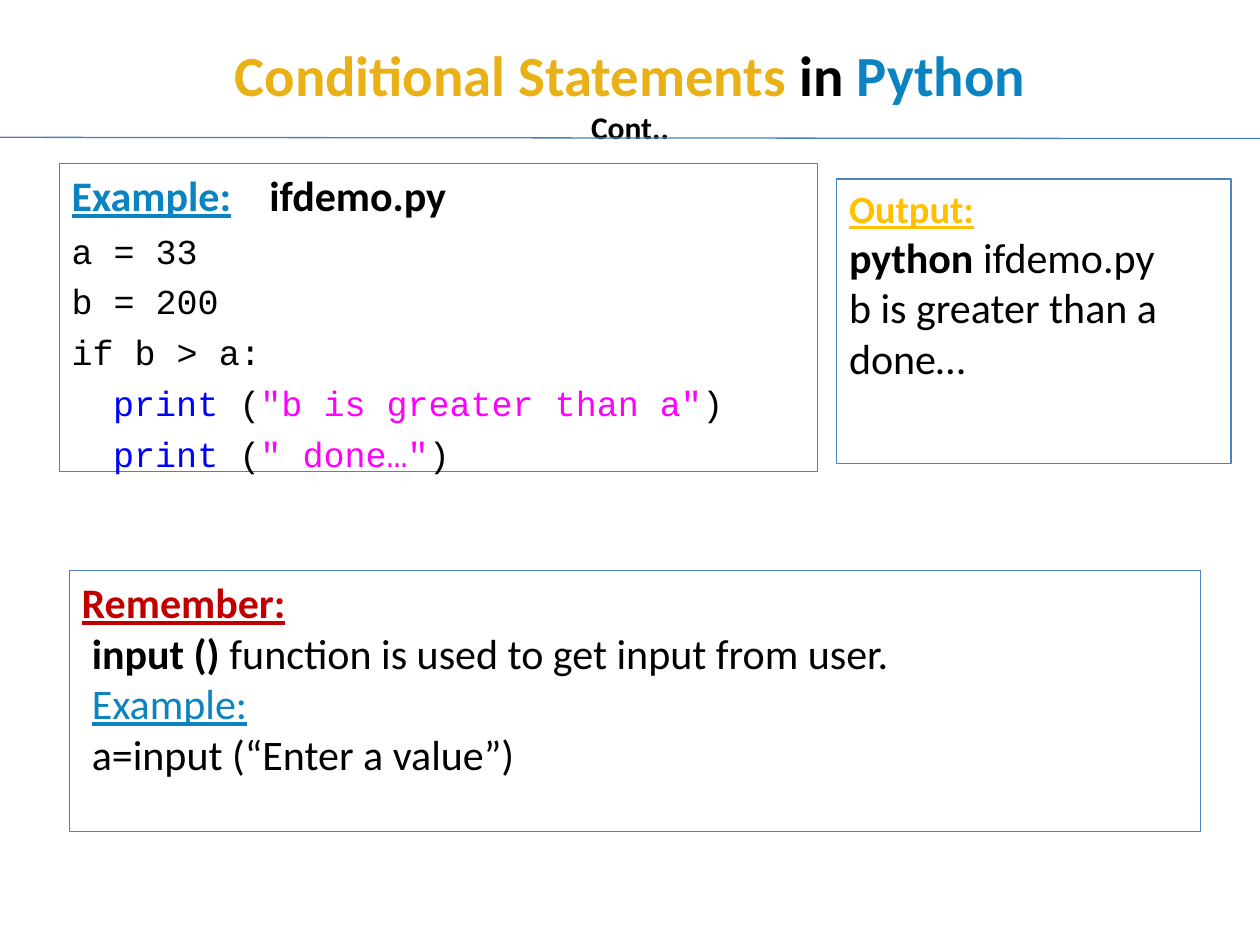
from lxml.etree import SubElement
from pptx import Presentation
from pptx.dml.color import RGBColor
from pptx.enum.shapes import MSO_CONNECTOR as Connector, MSO_SHAPE as Shape
from pptx.enum.text import MSO_ANCHOR as Anchor, MSO_AUTO_SIZE as AutoSize, PP_ALIGN as Align
from pptx.oxml.ns import qn
from pptx.util import Inches, Pt

BLACK, BLUE, GOLD = "000000", "0A83C0", "E9B115"
AMBER, RED = "FFC000", "C00000"
KEYWORD, STRING = "0000FF", "FF00FF"
BORDER, RULE = "4F81BD", "4B7EBC"
CODE = {"size": 20, "font": "Courier New"}


def color(value):
    """Turn a hex string into a colour."""
    return RGBColor.from_string(value)


def add_span(para, text, size=24, font="Calibri", fill=BLACK, bold=False, underline=False):
    """Add one formatted run of text to a paragraph."""
    span = para.add_run()
    span.text = text
    span.font.size = Pt(size)
    span.font.name = font
    span.font.color.rgb = color(fill)
    span.font.bold = bold
    span.font.underline = underline


def add_lines(frame, lines, align=Align.LEFT, indent=0):
    """Write lines, each a list of (text, format) pairs, indenting all but the first."""
    paras = []
    for index, spans in enumerate(lines):
        para = frame.add_paragraph() if index else frame.paragraphs[0]
        para.alignment = align
        if index and indent:
            para._p.get_or_add_pPr().set("marL", str(Inches(indent)))
        for text, style in spans:
            add_span(para, text, **style)
        paras.append(para)
    return paras


def add_title(page, left, top, width, height):
    """Place the two-line title in the title placeholder."""
    title = page.shapes.title
    title.left, title.top = Inches(left), Inches(top)
    title.width, title.height = Inches(width), Inches(height)
    frame = title.text_frame
    frame.auto_size = AutoSize.NONE
    frame.vertical_anchor = Anchor.MIDDLE
    large = {"size": 32.4, "bold": True}
    add_lines(frame, [
        [("Conditional Statements ", {**large, "fill": GOLD}),
         ("in ", large),
         ("Python", {**large, "fill": BLUE})],
        [("Cont..", {"size": 18, "bold": True})],
    ], align=Align.CENTER)


def add_rule(page, left, top, right, bottom):
    """Draw the thin line under the title."""
    rule = page.shapes.add_connector(
        Connector.STRAIGHT, Inches(left), Inches(top), Inches(right), Inches(bottom))
    rule.line.color.rgb = color(RULE)
    rule.line.width = Pt(0.75)
    SubElement(rule._element.spPr, qn("a:effectLst"))


def add_panel(page, left, top, width, height):
    """Draw an outlined panel and return its text frame."""
    panel = page.shapes.add_shape(
        Shape.RECTANGLE, Inches(left), Inches(top), Inches(width), Inches(height))
    panel.shadow.inherit = False
    panel.fill.background()
    panel.line.color.rgb = color(BORDER)
    panel.line.width = Pt(0.75)
    frame = panel.text_frame
    frame.word_wrap = True
    frame.vertical_anchor = Anchor.TOP
    return frame


def add_example(page, left, top, width, height):
    """Show the example program."""
    frame = add_panel(page, left, top, width, height)
    heading, *code = add_lines(frame, [
        [("Example:", {"fill": BLUE, "bold": True, "underline": True}),
         ("\tifdemo.py", {"bold": True})],
        *[[(text, CODE)] for text in ("a = 33", "b = 200", "if b > a:")],
        *[[("print ", {**CODE, "fill": KEYWORD}),
           ("(", CODE),
           (text, {**CODE, "fill": STRING}),
           (")", CODE)] for text in ('"b is greater than a"', '" done…"')],
    ])
    stops = SubElement(heading._p.get_or_add_pPr(), qn("a:tabLst"))
    SubElement(stops, qn("a:tab"), pos=str(Inches(1.57)), algn="l")
    for para in code:
        para.line_spacing = 1.21
    for para in code[3:]:
        para._p.get_or_add_pPr().set("marL", str(Inches(0.33)))


def add_reminder(page, left, top, width, height):
    """Explain the input function."""
    frame = add_panel(page, left, top, width, height)
    add_lines(frame, [
        [("Remember:", {"fill": RED, "bold": True, "underline": True})],
        [("input () ", {"bold": True}),
         ("function is used to get input from user.", {})],
        [("Example:", {"fill": BLUE, "underline": True})],
        [("a=input (“Enter a value”)", {})],
    ], indent=0.08)


def add_output(page, left, top, width, height):
    """Show what the program prints."""
    frame = add_panel(page, left, top, width, height)
    add_lines(frame, [
        [("Output:", {"size": 22, "fill": AMBER, "bold": True, "underline": True})],
        [("python", {"bold": True}), (" ifdemo.py", {})],
        [("b is greater than a", {})],
        [("done…", {})],
    ])


def main():
    """Build and save the deck."""
    deck = Presentation()
    deck.slide_width, deck.slide_height = Inches(10), Inches(7.5)
    page = deck.slides.add_slide(deck.slide_layouts[5])
    add_title(page, 0.5, 0.3, 9, 0.87)
    add_rule(page, 0, 1.09, 10, 1.1)
    add_example(page, 0.47, 1.3, 6.02, 2.44)
    add_reminder(page, 0.55, 4.53, 8.98, 2.07)
    add_output(page, 6.64, 1.42, 3.13, 2.26)
    deck.save("out.pptx")


if __name__ == "__main__":
    main()
